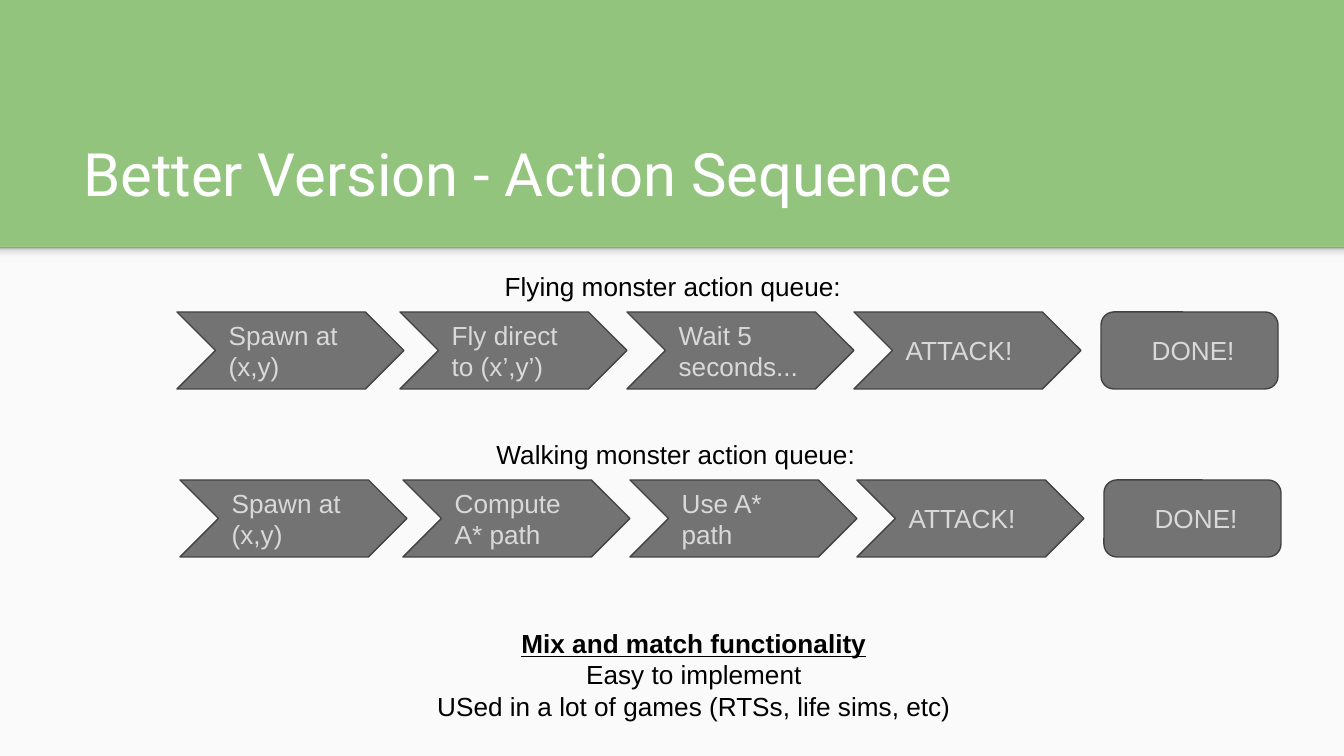
from lxml import etree
from pptx import Presentation
from pptx import util as u
from pptx.dml.color import RGBColor
from pptx.enum import shapes, text
from pptx.oxml.ns import qn

SCALE = 914400 / 134.4
GREEN = RGBColor(0x93, 0xC4, 0x7D)
PAPER = RGBColor(0xFA, 0xFA, 0xFA)
WHITE = RGBColor(0xFF, 0xFF, 0xFF)
BLACK = RGBColor(0, 0, 0)
GREY = RGBColor(0x73, 0x73, 0x73)
EDGE = RGBColor(0x42, 0x42, 0x42)
PALE = RGBColor(0xD9, 0xD9, 0xD9)
MIST = RGBColor(0xF9, 0xF9, 0xF9)
HAZE = RGBColor(0xDE, 0xDE, 0xDE)
SHADE = RGBColor(0x99, 0x99, 0x99)
FADE = [(0, MIST), (36, MIST), (80, HAZE), (100, SHADE)]

KIND = shapes.MSO_SHAPE
ALIGN = text.PP_ALIGN
ANCHOR = text.MSO_ANCHOR
ROWS = [
    ("Flying monster action queue:", 0, 0,
     ["Spawn at (x,y)", "Fly direct to (x’,y’)", "Wait 5 seconds...", "ATTACK!"]),
    ("Walking monster action queue:", 3, 168,
     ["Spawn at (x,y)", "Compute A* path", "Use A* path", "ATTACK!"]),
]
STEPS = [177, 400, 627, 854]
NOTES = [
    ("Mix and match functionality", True),
    ("Easy to implement", False),
    ("USed in a lot of games (RTSs, life sims, etc)", False),
]


def px(n):
    return u.Emu(round(n * SCALE))


def area(*box):
    return [px(n) for n in box]


def write(frame, lines, color, size=14, face="Arial", align=ALIGN.LEFT, anchor=ANCHOR.TOP):
    frame.word_wrap = True
    frame.vertical_anchor = anchor
    frame.margin_left = frame.margin_right = u.Inches(0.1)
    frame.margin_top = frame.margin_bottom = u.Inches(0.1)
    for i, (line, strong) in enumerate(lines):
        para = frame.add_paragraph() if i else frame.paragraphs[0]
        para.alignment = align
        run = para.add_run()
        run.text = line
        font = run.font
        font.name, font.size = face, u.Pt(size)
        font.bold = font.underline = strong
        font.color.rgb = color


def add_text(slide, box, lines, color, **style):
    write(slide.shapes.add_textbox(*area(*box)).text_frame, lines, color, **style)


def add_shape(slide, kind, box):
    shape = slide.shapes.add_shape(kind, *area(*box))
    shape.shadow.inherit = False
    return shape


def add_panel(slide):
    panel = add_shape(slide, KIND.RECTANGLE, (0, 247, 1344, 509))
    panel.fill.solid()
    panel.fill.fore_color.rgb = PAPER
    panel.line.fill.background()


def add_fade(slide):
    strip = add_shape(slide, KIND.RECTANGLE, (0, 247, 1344, 16))
    strip.line.fill.background()
    strip.fill.gradient()
    strip.fill.gradient_angle = 90
    stops = strip.element.spPr.find(qn("a:gradFill")).find(qn("a:gsLst"))
    for stop in list(stops):
        stops.remove(stop)
    for at, color in FADE:
        stop = etree.SubElement(stops, qn("a:gs"), pos=str(at * 1000))
        etree.SubElement(stop, qn("a:srgbClr"), val=str(color))


def add_step(slide, kind, box, label, align):
    step = add_shape(slide, kind, box)
    step.fill.solid()
    step.fill.fore_color.rgb = GREY
    step.line.color.rgb = EDGE
    step.line.width = u.Pt(0.75)
    write(step.text_frame, [(label, False)], PALE, align=align, anchor=ANCHOR.MIDDLE)


def add_queue(slide, title, dx, dy, labels):
    top = 312 + dy
    for left, label in zip(STEPS, labels):
        add_step(slide, KIND.CHEVRON, (left + dx, top, 227, 77), label, ALIGN.LEFT)
    add_step(slide, KIND.ROUNDED_RECTANGLE, (1101 + dx, top, 177, 77), " DONE!", ALIGN.CENTER)
    add_text(slide, (368 + dx, 257 + dy, 610, 55), [(title, False)], BLACK, align=ALIGN.CENTER)


def main():
    deck = Presentation()
    deck.slide_width, deck.slide_height = px(1344), px(756)
    slide = deck.slides.add_slide(deck.slide_layouts[6])
    slide.background.fill.solid()
    slide.background.fill.fore_color.rgb = GREEN
    add_panel(slide)
    add_fade(slide)
    add_text(slide, (70, 109, 1208, 113), [("Better Version - Action Sequence", False)],
             WHITE, size=32, face="Roboto", anchor=ANCHOR.BOTTOM)
    for row in ROWS:
        add_queue(slide, *row)
    add_text(slide, (110, 614, 1168, 113), NOTES, BLACK, align=ALIGN.CENTER)
    deck.save("out.pptx")


if __name__ == "__main__":
    main()
